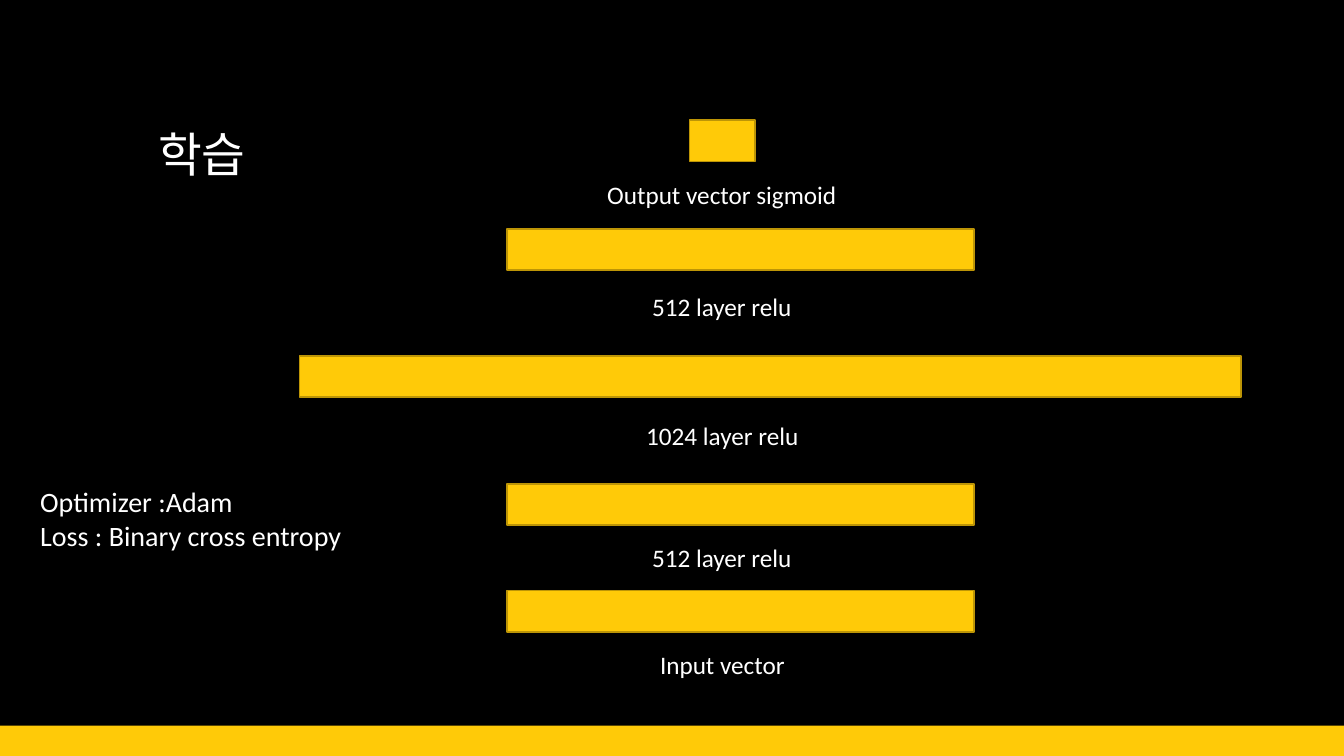
from pptx import Presentation, util as u
from pptx.dml.color import RGBColor
from pptx.enum import shapes, text
from pptx.oxml import ns, xmlchemy

PX = 9144
WIDTH, HEIGHT = 1333, 750
YELLOW, OUTLINE, WHITE, BLACK = "FFCA08", "BD9506", "FFFFFF", "000000"
LABEL_CENTER = 716
BAR_HEIGHT, LABEL_HEIGHT = 41, 40

LAYERS = [
    ("Output vector sigmoid", 684, 119, 65, 173, 250),
    ("512 layer relu", 503, 227, 463, 284, 160),
    ("1024 layer relu", 297, 353, 934, 412, 173),
    ("512 layer relu", 503, 480, 463, 533, 160),
    ("Input vector", 503, 586, 463, 639, 145),
]


def color(value):
    """Turn a hex string into a colour."""
    return RGBColor.from_string(value)


def emu(box):
    """Scale a box of px to EMU."""
    return [u.Emu(length * PX) for length in box]


def add_bar(page, box, line=None):
    """Add a yellow rectangle, outlined if a line colour is given."""
    bar = page.shapes.add_shape(shapes.MSO_SHAPE.RECTANGLE, *emu(box))
    bar.shadow.inherit = False
    bar.fill.solid()
    bar.fill.fore_color.rgb = color(YELLOW)
    if line:
        bar.line.color.rgb = color(line)
        bar.line.width = u.Pt(1)
    else:
        bar.line.fill.background()


def add_text(page, box, lines, size=18, font="Calibri", wrap=True, spacing=1.0,
             anchor=text.MSO_ANCHOR.TOP, align=text.PP_ALIGN.LEFT,
             fit=text.MSO_AUTO_SIZE.SHAPE_TO_FIT_TEXT):
    """Add a white text box with one paragraph per line."""
    frame = page.shapes.add_textbox(*emu(box)).text_frame
    frame.word_wrap = wrap
    frame.auto_size = fit
    frame.vertical_anchor = anchor
    for index, line in enumerate(lines):
        para = frame.add_paragraph() if index else frame.paragraphs[0]
        para.alignment = align
        para.line_spacing = spacing
        span = para.add_run()
        span.text = line
        span.font.name = font
        span.font.size = u.Pt(size)
        span.font.color.rgb = color(WHITE)
        east_asian = xmlchemy.OxmlElement("a:ea")
        east_asian.set("typeface", font)
        span.font._element.find(ns.qn("a:latin")).addnext(east_asian)


def add_network(page, left, top):
    """Add the layer bars with their labels below them."""
    for name, bar_left, bar_top, bar_width, label_top, label_width in LAYERS:
        add_bar(page, (left + bar_left, top + bar_top, bar_width, BAR_HEIGHT), OUTLINE)
        label_left = left + LABEL_CENTER - label_width // 2
        add_text(page, (label_left, top + label_top, label_width, LABEL_HEIGHT), [name],
                 wrap=False, align=text.PP_ALIGN.CENTER)


def add_training_page(deck):
    """Add the page on training the network."""
    page = deck.slides.add_slide(deck.slide_layouts[6])
    page.background.fill.solid()
    page.background.fill.fore_color.rgb = color(BLACK)
    add_bar(page, (0, HEIGHT - 30, WIDTH, 30))
    add_text(page, (147, 51, 1040, 135), ["학습"], size=34, font="Noto Sans CJK KR",
             spacing=0.9, anchor=text.MSO_ANCHOR.BOTTOM, fit=text.MSO_AUTO_SIZE.NONE)
    add_network(page, 0, 0)
    add_text(page, (30, 476, 759, 77),
             ["Optimizer :Adam", "Loss : Binary cross entropy"], size=20)


def main():
    """Build and save the deck."""
    deck = Presentation()
    deck.slide_width, deck.slide_height = emu((WIDTH, HEIGHT))
    add_training_page(deck)
    deck.save("out.pptx")


if __name__ == "__main__":
    main()
